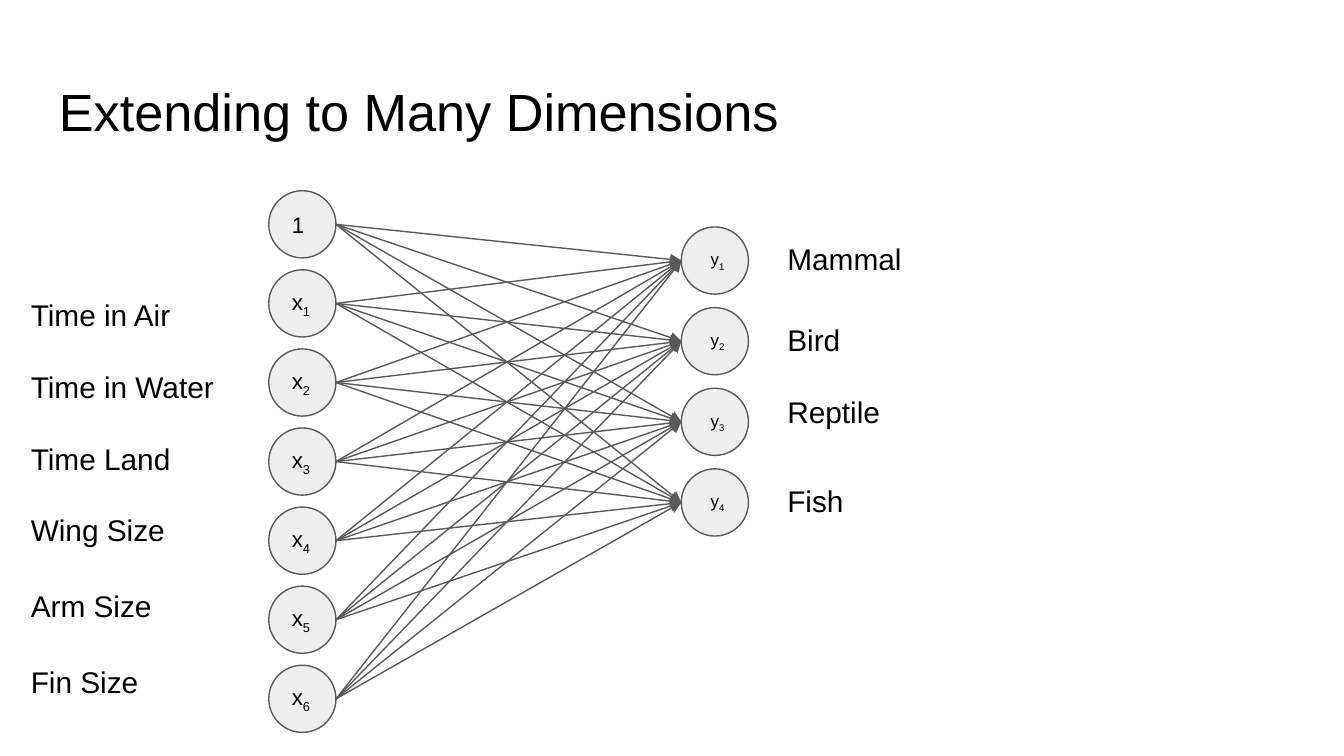
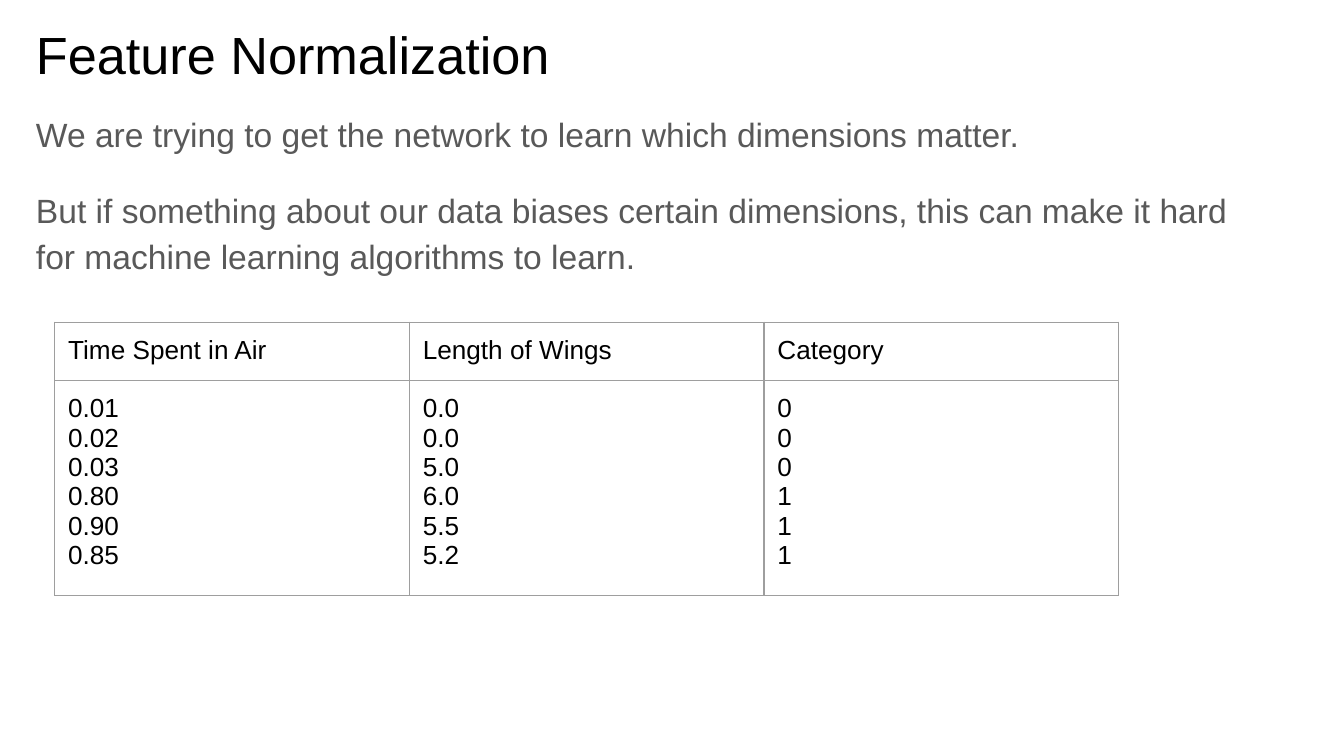
from dataclasses import dataclass
from itertools import product
from lxml import etree
from pptx import Presentation
from pptx.dml.color import RGBColor
from pptx.enum import shapes, text
from pptx.oxml import ns
from pptx.util import Pt


@dataclass(frozen=True)
class Theme:
    font: str = "Arial"
    ink: str = "000000"
    gray: str = "595959"
    node: str = "EEEEEE"
    grid: str = "9E9E9E"
    title: float = 28
    body: float = 18
    label: float = 16
    cell: float = 14
    input: float = 12
    output: float = 9
    line: float = 0.75
    inset: float = 7.2


T = Theme()


def color(code):
    return RGBColor.from_string(code)


def style(para, size, ink=T.ink):
    para.font.name = T.font
    para.font.size = Pt(size)
    para.font.color.rgb = color(ink)


def pad(item):
    item.margin_left = item.margin_right = Pt(T.inset)
    item.margin_top = item.margin_bottom = Pt(T.inset)


def fill_text(frame, lines, size, ink=T.ink, gaps=(), space=None):
    for i, line in enumerate(lines):
        para = frame.paragraphs[0] if i == 0 else frame.add_paragraph()
        para.text = line
        style(para, size, ink)
        if i and gaps:
            para.space_before = Pt(gaps[i - 1])
        if space:
            para.line_spacing = space


def add_text(slide, box, lines, size, **opts):
    frame = slide.shapes.add_textbox(*map(Pt, box)).text_frame
    frame.word_wrap = True
    pad(frame)
    fill_text(frame, lines, size, **opts)


def add_title(slide, left, top, words):
    add_text(slide, (left, top, 671, 45.4), [words], T.title)


def add_node(slide, box, name, sub, size, indent):
    node = slide.shapes.add_shape(shapes.MSO_SHAPE.OVAL, *map(Pt, box))
    node.shadow.inherit = False
    node.fill.solid()
    node.fill.fore_color.rgb = color(T.node)
    node.line.color.rgb = color(T.gray)
    node.line.width = Pt(T.line)
    frame = node.text_frame
    frame.word_wrap = True
    frame.vertical_anchor = text.MSO_ANCHOR.MIDDLE
    pad(frame)
    frame.margin_left = Pt(T.inset + indent)
    frame.margin_right = 0
    para = frame.paragraphs[0]
    para.alignment = text.PP_ALIGN.LEFT
    style(para, size)
    para.add_run().text = name
    if sub:
        run = para.add_run()
        run.text = sub
        run.font._element.set("baseline", "-25000")


def add_arrow(slide, start, end):
    arrow = slide.shapes.add_connector(
        shapes.MSO_CONNECTOR.STRAIGHT, *map(Pt, start + end))
    arrow.line.color.rgb = color(T.gray)
    arrow.line.width = Pt(T.line)
    props = arrow._element.spPr
    tail = etree.SubElement(props.find(ns.qn("a:ln")), ns.qn("a:tailEnd"))
    tail.set("type", "triangle")
    etree.SubElement(props, ns.qn("a:effectLst"))


def add_network(slide, box):
    left, top, width, height = box
    side = 36
    ins = [("1", "")] + [("x", str(i)) for i in range(1, 7)]
    outs = [("y", str(i)) for i in range(1, 5)]
    step = (height - side) / (len(ins) - 1)
    starts = [top + i * step for i in range(len(ins))]
    ends = [top + 19.4 + i * 43.2 for i in range(len(outs))]
    right = left + width - side
    for y, (name, sub) in zip(starts, ins):
        add_node(slide, (left, y, side, side), name, sub, T.input, 0)
    for y, (name, sub) in zip(ends, outs):
        add_node(slide, (right, y, side, side), name, sub, T.output, 3.3)
    for a, b in product(starts, ends):
        add_arrow(slide, (left + side, a + side / 2), (right, b + side / 2))


def add_edges(cell):
    props = cell._tc.get_or_add_tcPr()
    for edge in ("lnL", "lnR", "lnT", "lnB"):
        line = etree.SubElement(props, ns.qn("a:" + edge), w=str(Pt(T.line)))
        paint = etree.SubElement(line, ns.qn("a:solidFill"))
        etree.SubElement(paint, ns.qn("a:srgbClr"), val=T.grid)


def add_grid(slide, box, heads, cols):
    left, top, width, height = box
    table = slide.shapes.add_table(2, len(heads), *map(Pt, box)).table
    table.first_row = table.horz_banding = False
    head = 30.4
    table.rows[0].height = Pt(head)
    table.rows[1].height = Pt(height - head)
    for i, pair in enumerate(zip(heads, cols)):
        table.columns[i].width = Pt(width / len(heads))
        for j, words in enumerate(pair):
            cell = table.cell(j, i)
            pad(cell)
            add_edges(cell)
            cell.fill.background()
            fill_text(cell.text_frame, words.split(), T.cell) if j else \
                fill_text(cell.text_frame, [words], T.cell)


def build_network(slide):
    add_title(slide, 24.5, 35.3, "Extending to Many Dimensions")
    add_network(slide, (144, 102.2, 257, 290.2))
    add_text(slide, (414.7, 121.7, 76.5, 167),
             ["Mammal", "Bird", "Reptile", "Fish"],
             T.label, gaps=(24.2, 19.2, 28.5))
    add_text(slide, (9.4, 152, 120, 232),
             ["Time in Air", "Time in Water", "Time Land",
              "Wing Size", "Arm Size", "Fin Size"],
             T.label, gaps=(19.2, 19.2, 19.2, 21.5, 21.5))


def build_features(slide):
    add_title(slide, 12.2, 5, "Feature Normalization")
    add_text(slide, (12.2, 50.4, 671, 269.3),
             ["We are trying to get the network to learn which dimensions "
              "matter.",
              "But if something about our data biases certain dimensions, "
              "this can make it hard for machine learning algorithms to "
              "learn."],
             T.body, ink=T.gray, gaps=(16,), space=1.15)
    add_grid(slide, (29.3, 172.6, 570, 139),
             ["Time Spent in Air", "Length of Wings", "Category"],
             ["0.01 0.02 0.03 0.80 0.90 0.85",
              "0.0 0.0 5.0 6.0 5.5 5.2",
              "0 0 0 1 1 1"])


deck = Presentation()
deck.slide_width, deck.slide_height = Pt(720), Pt(405)
for build in (build_network, build_features):
    build(deck.slides.add_slide(deck.slide_layouts[6]))
deck.save("out.pptx")
